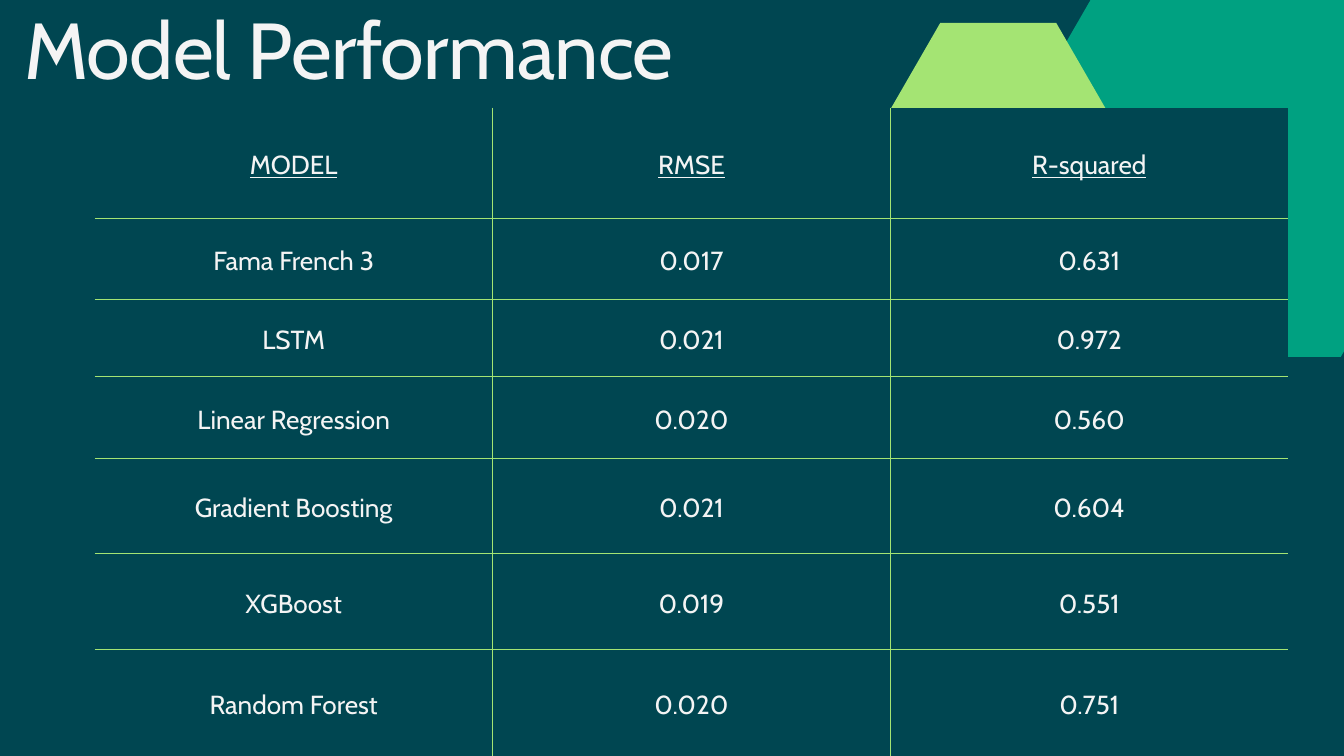
from typing import NamedTuple

from lxml import etree
from pptx import Presentation
from pptx.dml.color import RGBColor
from pptx.enum.text import MSO_ANCHOR, PP_ALIGN
from pptx.oxml.ns import qn
from pptx.util import Inches, Pt

CENTER = PP_ALIGN.CENTER
MIDDLE = MSO_ANCHOR.MIDDLE
FONT = "Cabin"
COLORS = {"back": "004651", "teal": "00A181", "lime": "A4E473", "text": "F4F4F4"}
PAD = Inches(0.21)
COL_W = 5.92
ROW_H = [1.65, 1.21, 1.14, 1.22, 1.42, 1.42, 1.59]
SCORES = [
    ("MODEL", "RMSE", "R-squared"),
    ("Fama French 3", "0.017", "0.631"),
    ("LSTM", "0.021", "0.972"),
    ("Linear Regression", "0.020", "0.560"),
    ("Gradient Boosting", "0.021", "0.604"),
    ("XGBoost", "0.019", "0.551"),
    ("Random Forest", "0.020", "0.751"),
]


class Hexagon(NamedTuple):
    left: float
    top: float
    width: float
    height: float
    color: str


HEXAGONS = [
    Hexagon(14.86, -0.57, 6.79, 5.88, "teal"),
    Hexagon(13.13, 0.34, 3.45, 2.99, "lime"),
]


def rgb(name: str) -> RGBColor:
    return RGBColor.from_string(COLORS[name])


def style_text(para, size: float, line: float, underline: bool = False) -> None:
    para.line_spacing = Pt(line)
    for run in para.runs:
        run.font.name = FONT
        run.font.size = Pt(size)
        run.font.color.rgb = rgb("text")
        run.font.underline = underline


def draw_hexagon(slide, hexa: Hexagon) -> None:
    # Corners as fractions of the width and height
    corners = [(1, 0.5), (0.75, 1), (0.25, 1), (0, 0.5), (0.25, 0), (0.75, 0)]
    points = [
        (Inches(hexa.left + x * hexa.width), Inches(hexa.top + y * hexa.height))
        for x, y in corners
    ]
    builder = slide.shapes.build_freeform(*points[0])
    builder.add_line_segments(points[1:], close=True)
    shape = builder.convert_to_shape()
    shape.shadow.inherit = False
    shape.fill.solid()
    shape.fill.fore_color.rgb = rgb(hexa.color)
    shape.line.fill.background()


def set_border(cell, side: str, shown: bool) -> None:
    props = cell._tc.get_or_add_tcPr()
    line = etree.SubElement(props, qn(f"a:ln{side}"), w=str(Pt(0.75) if shown else 0))
    if shown:
        fill = etree.SubElement(line, qn("a:solidFill"))
        etree.SubElement(fill, qn("a:srgbClr"), val=COLORS["lime"])
    else:
        etree.SubElement(line, qn("a:noFill"))


def draw_table(slide) -> None:
    rows, cols = len(SCORES), len(SCORES[0])
    frame = slide.shapes.add_table(
        rows, cols, Inches(1.41), Inches(1.6), Inches(COL_W * cols), Inches(sum(ROW_H))
    )
    table = frame.table
    table.first_row = table.horz_banding = False
    for col in table.columns:
        col.width = Inches(COL_W)
    for row, height in zip(table.rows, ROW_H):
        row.height = Inches(height)

    for r, record in enumerate(SCORES):
        for c, text in enumerate(record):
            cell = table.cell(r, c)
            cell.margin_left = cell.margin_right = PAD
            cell.margin_top = cell.margin_bottom = PAD
            cell.vertical_anchor = MIDDLE
            # Only the inner grid lines show
            inner = {"L": c > 0, "R": c < cols - 1, "T": r > 0, "B": r < rows - 1}
            for side, shown in inner.items():
                set_border(cell, side, shown)
            cell.fill.solid()
            cell.fill.fore_color.rgb = rgb("back")
            cell.text_frame.text = text
            para = cell.text_frame.paragraphs[0]
            para.alignment = CENTER
            style_text(para, 28, 39.2, underline=r == 0)


def draw_title(slide) -> None:
    box = slide.shapes.add_textbox(Inches(0.36), 0, Inches(11.22), Inches(1.41))
    frame = box.text_frame
    frame.word_wrap = True
    frame.margin_left = frame.margin_right = 0
    frame.margin_top = frame.margin_bottom = 0
    frame.text = "Model Performance"
    para = frame.paragraphs[0]
    style_text(para, 85, 102)
    para.runs[0].font._element.set("spc", "-80")


def main() -> None:
    prs = Presentation()
    prs.slide_width, prs.slide_height = Inches(20), Inches(11.25)
    slide = prs.slides.add_slide(prs.slide_layouts[6])
    slide.background.fill.solid()
    slide.background.fill.fore_color.rgb = rgb("back")

    # Corner shapes, then the scores and title above them
    for hexa in HEXAGONS:
        draw_hexagon(slide, hexa)
    draw_table(slide)
    draw_title(slide)
    prs.save("out.pptx")


if __name__ == "__main__":
    main()
